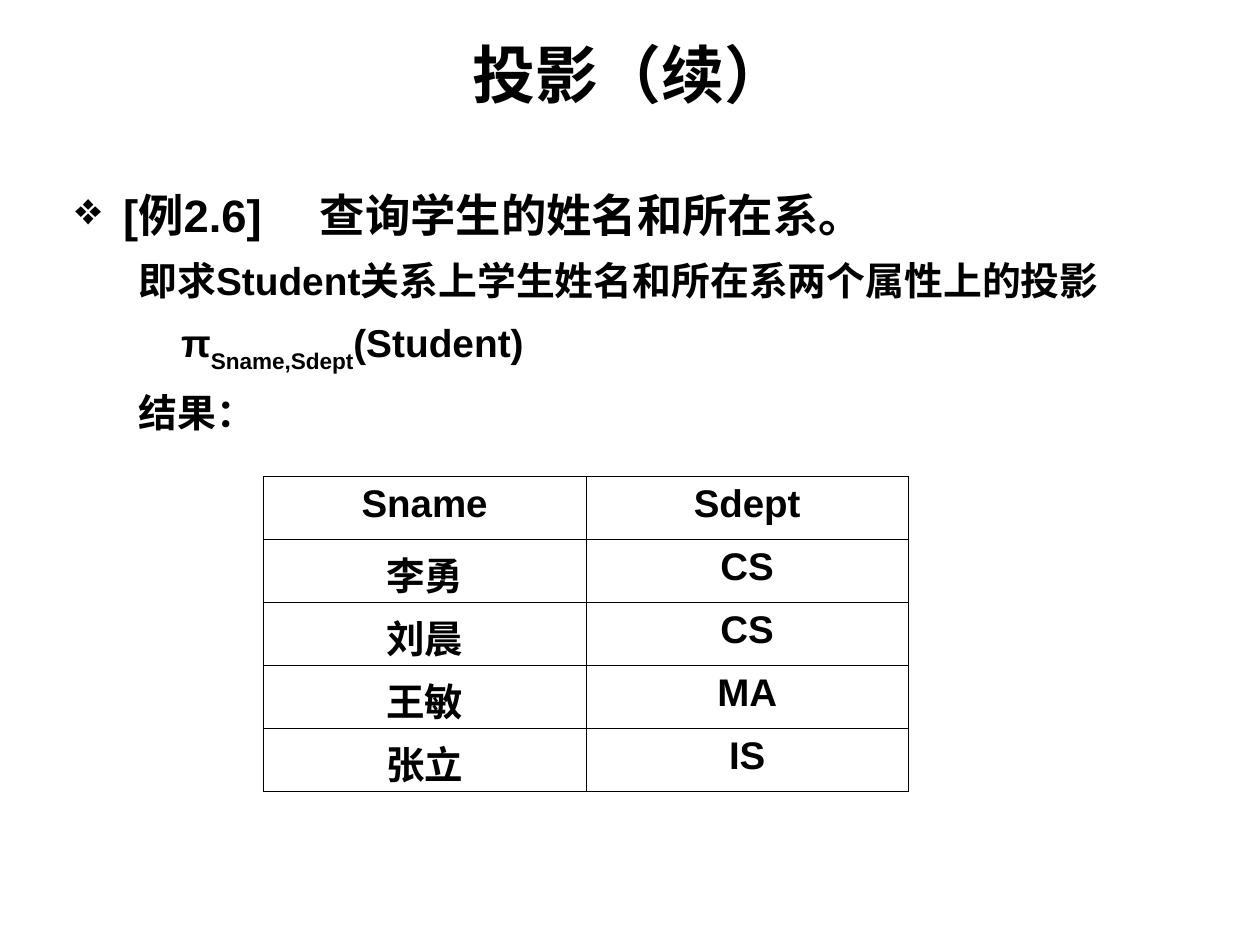
from lxml import etree
from pptx import Presentation
from pptx.dml.color import RGBColor
from pptx.enum import text
from pptx.oxml import ns
from pptx.util import Inches, Pt

BLACK = RGBColor(0, 0, 0)
FONT = "Arial"

TITLE = "投影（续）"
# Runs, size, left margin, first-line indent, space before
PARAGRAPHS = [
    (["[例2.6]\t查询学生的姓名和所在系。"], 25.9, 0.38, -0.38, 0),
    (["即求Student关系上学生姓名和所在系两个属性上的投影"], 22.2, 0.5, 0, 6),
    (["π", "Sname,Sdept", "(Student)"], 22.2, 0.84, 0, 6),
    (["结果："], 22.2, 0.5, 0, 6),
]
SUBSCRIPT = "Sname,Sdept"
HEADING_TAB = 1.94
ROWS = [
    ("Sname", "Sdept"),
    ("李勇", "CS"),
    ("刘晨", "CS"),
    ("王敏", "MA"),
    ("张立", "IS"),
]
COLUMN_WIDTH, ROW_HEIGHT = 2.56, 0.5
BORDER_WIDTH = 0.45


def add_element(parent, tag, **attributes):
    element = etree.SubElement(parent, ns.qn(tag))
    for name, value in attributes.items():
        element.set(name, str(value))
    return element


def style_font(font, size):
    font.name, font.size, font.bold = FONT, Pt(size), True
    font.color.rgb = BLACK


def add_title(slide):
    title = slide.shapes.title
    title.left, title.top = Inches(0.5), Inches(-0.04)
    title.width, title.height = Inches(9), Inches(1.24)
    title.text_frame.text = TITLE
    title.text_frame.vertical_anchor = text.MSO_ANCHOR.MIDDLE
    paragraph = title.text_frame.paragraphs[0]
    paragraph.alignment = text.PP_ALIGN.CENTER
    style_font(paragraph.runs[0].font, 36)


def add_body(slide):
    box = slide.shapes.add_textbox(Inches(0.5), Inches(1.39), Inches(9), Inches(2.22))
    frame = box.text_frame
    frame.word_wrap = True
    for index, (runs, size, margin, indent, before) in enumerate(PARAGRAPHS):
        paragraph = frame.add_paragraph() if index else frame.paragraphs[0]
        properties = paragraph._p.get_or_add_pPr()
        properties.set("marL", str(Inches(margin)))
        properties.set("indent", str(Inches(indent)))
        if index == 0:
            color = add_element(properties, "a:buClr")
            add_element(color, "a:srgbClr", val=BLACK)
            add_element(properties, "a:buChar", char="❖")
            tabs = add_element(properties, "a:tabLst")
            add_element(tabs, "a:tab", pos=Inches(HEADING_TAB), algn="l")
        paragraph.alignment = text.PP_ALIGN.JUSTIFY
        paragraph.line_spacing = 1.1
        paragraph.space_before = Pt(before)
        for words in runs:
            run = paragraph.add_run()
            run.text = words
            style_font(run.font, size)
            if words == SUBSCRIPT:
                run._r.get_or_add_rPr().set("baseline", "-30000")


def add_borders(cell):
    properties = cell._tc.get_or_add_tcPr()
    for side in ("a:lnL", "a:lnR", "a:lnT", "a:lnB"):
        line = add_element(properties, side, w=Pt(BORDER_WIDTH))
        fill = add_element(line, "a:solidFill")
        add_element(fill, "a:srgbClr", val=BLACK)


def add_result_table(slide):
    columns = len(ROWS[0])
    table = slide.shapes.add_table(
        len(ROWS), columns, Inches(2.09), Inches(3.78),
        Inches(COLUMN_WIDTH * columns), Inches(ROW_HEIGHT * len(ROWS))).table
    table.first_row = table.horz_banding = False
    for row, values in enumerate(ROWS):
        for column, value in enumerate(values):
            cell = table.cell(row, column)
            cell.text_frame.text = value
            paragraph = cell.text_frame.paragraphs[0]
            paragraph.alignment = text.PP_ALIGN.CENTER
            style_font(paragraph.runs[0].font, 22)
            add_borders(cell)
            cell.fill.background()


def main():
    presentation = Presentation()
    presentation.slide_width, presentation.slide_height = Inches(10), Inches(7.5)
    slide = presentation.slides.add_slide(presentation.slide_layouts[5])
    add_title(slide)
    add_body(slide)
    add_result_table(slide)
    presentation.save("out.pptx")


if __name__ == "__main__":
    main()
